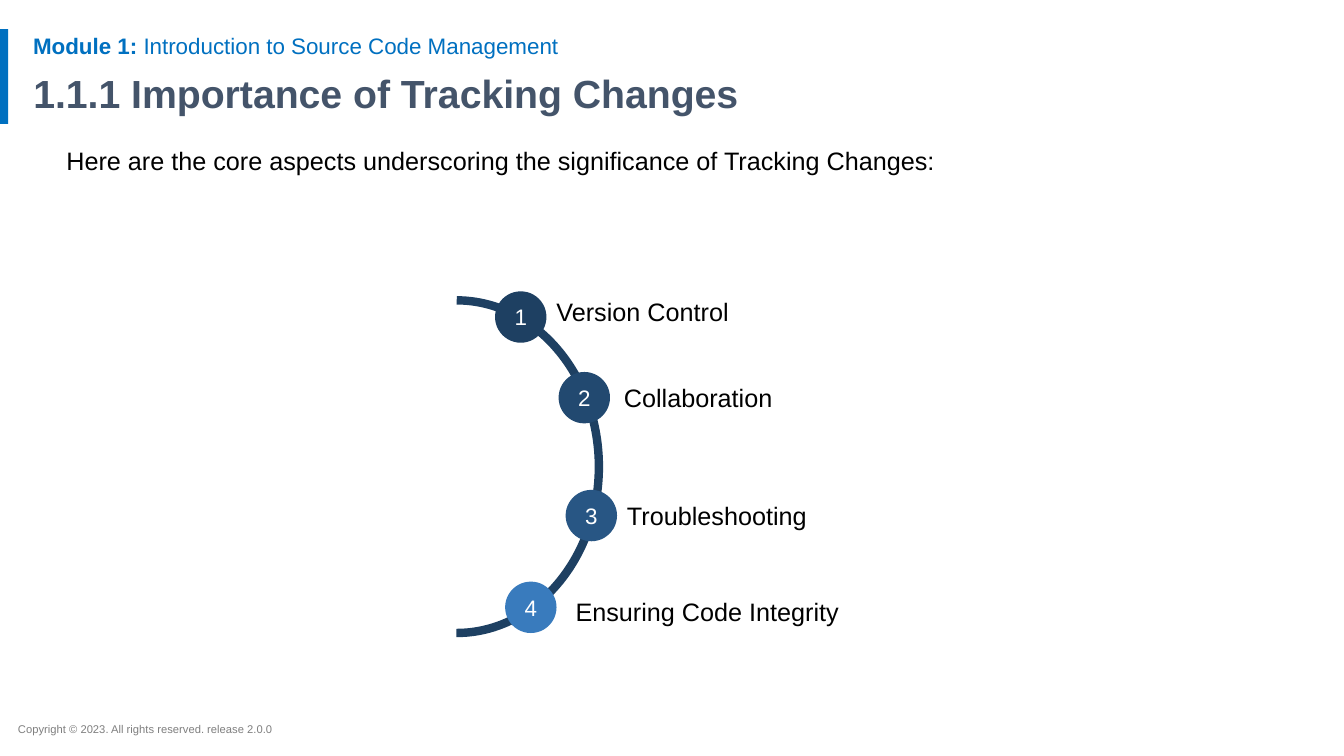
from pptx import Presentation, util as u
from pptx.dml.color import RGBColor
from pptx.enum import shapes, text

WIDTH, HEIGHT = 13.33, 7.5
COLORS = {
    "accent": "0070C0",
    "title": "44546A",
    "body": "000000",
    "footer": "7F7F7F",
    "number": "FFFFFF",
    "arc": "1E4062",
}
BADGE = 0.51
LABEL_HEIGHT = 0.72
ASPECTS = [
    ("Version Control", "1E4062", (1.79, -0.09), (2.30, -0.19), 3.28),
    ("Collaboration", "224970", (2.42, 0.71), (2.97, 0.67), 2.57),
    ("Troubleshooting", "285684", (2.49, 1.88), (3.00, 1.84), 3.28),
    ("Ensuring Code Integrity", "397BBD", (1.89, 2.79), (2.49, 2.79), 3.28),
]


def inches(*lengths):
    return [u.Inches(length) for length in lengths]


def set_values(target, values):
    for name, value in values.items():
        setattr(target, name, value)


def write(shape, runs, size, color, inset=0.05, anchor=text.MSO_ANCHOR.TOP, **paragraph_format):
    frame = shape.text_frame
    set_values(frame, {
        "word_wrap": True,
        "auto_size": text.MSO_AUTO_SIZE.NONE,
        "vertical_anchor": anchor,
        "margin_left": u.Inches(0.1),
        "margin_right": u.Inches(0.1),
        "margin_top": u.Inches(inset),
        "margin_bottom": u.Inches(inset),
    })
    paragraph = frame.paragraphs[0]
    set_values(paragraph, {"alignment": text.PP_ALIGN.LEFT, **paragraph_format})
    for words, bold in runs:
        run = paragraph.add_run()
        run.text = words
        set_values(run.font, {"name": "Arial", "size": u.Pt(size), "bold": bold})
        run.font.color.rgb = RGBColor.from_string(color)


def add_text(slide, box, *content, **formatting):
    write(slide.shapes.add_textbox(*inches(*box)), *content, **formatting)


def add_filled(slide, kind, box, color):
    shape = slide.shapes.add_shape(kind, *inches(*box))
    shape.shadow.inherit = False
    shape.fill.solid()
    shape.fill.fore_color.rgb = RGBColor.from_string(color)
    shape.line.fill.background()
    return shape


def add_header(slide, box):
    left, top, width, height = box
    add_filled(slide, shapes.MSO_SHAPE.RECTANGLE, (0, top - 0.01, 0.08, height + 0.01),
               COLORS["accent"])
    module = [("Module 1:", True), (" Introduction to Source Code Management", False)]
    add_text(slide, (left, top, width, 0.33), module, 16, COLORS["accent"], line_spacing=0.9)
    title = slide.shapes.title
    title_box = inches(left, top + 0.39, width, height - 0.39)
    set_values(title, dict(zip(("left", "top", "width", "height"), title_box)))
    write(title, [("1.1.1 Importance of Tracking Changes", True)], 28, COLORS["title"],
          line_spacing=0.9, space_before=u.Pt(0))


def add_intro(slide, box):
    sentence = "Here are the core aspects underscoring the significance of Tracking Changes:"
    add_text(slide, box, [(sentence, False)], 18, COLORS["body"], line_spacing=0.9)


def add_aspects(slide, box):
    left, top, width, height = box
    arc = slide.shapes.add_shape(shapes.MSO_SHAPE.ARC, *inches(*box))
    arc.shadow.inherit = False
    arc.fill.background()
    arc.line.width = u.Pt(6)
    arc.line.color.rgb = RGBColor.from_string(COLORS["arc"])
    arc.adjustments[0], arc.adjustments[1] = 162, 54.1
    for number, (label, color, badge_at, label_at, label_width) in enumerate(ASPECTS, 1):
        badge = add_filled(slide, shapes.MSO_SHAPE.OVAL,
                           (left + badge_at[0], top + badge_at[1], BADGE, BADGE), color)
        write(badge, [(str(number), False)], 16, COLORS["number"],
              anchor=text.MSO_ANCHOR.MIDDLE, alignment=text.PP_ALIGN.CENTER)
        add_text(slide, (left + label_at[0], top + label_at[1], label_width, LABEL_HEIGHT),
                 [(label, False)], 18, COLORS["body"], inset=0.1,
                 line_spacing=1.15, space_after=u.Pt(12))


def add_footer(slide, box):
    add_text(slide, box, [("Copyright © 2023. All rights reserved. release 2.0.0", False)],
             8, COLORS["footer"])


def main():
    presentation = Presentation()
    set_values(presentation, {"slide_width": u.Inches(WIDTH), "slide_height": u.Inches(HEIGHT)})
    slide = presentation.slides.add_slide(presentation.slide_layouts[5])
    add_header(slide, (0.23, 0.3, 11.5, 0.93))
    add_intro(slide, (0.56, 1.43, 11.24, 5.29))
    add_aspects(slide, (3.12, 2.98, 2.82, 3.3))
    add_footer(slide, (0.08, 7.12, 7.13, 0.24))
    presentation.save("out.pptx")


if __name__ == "__main__":
    main()
